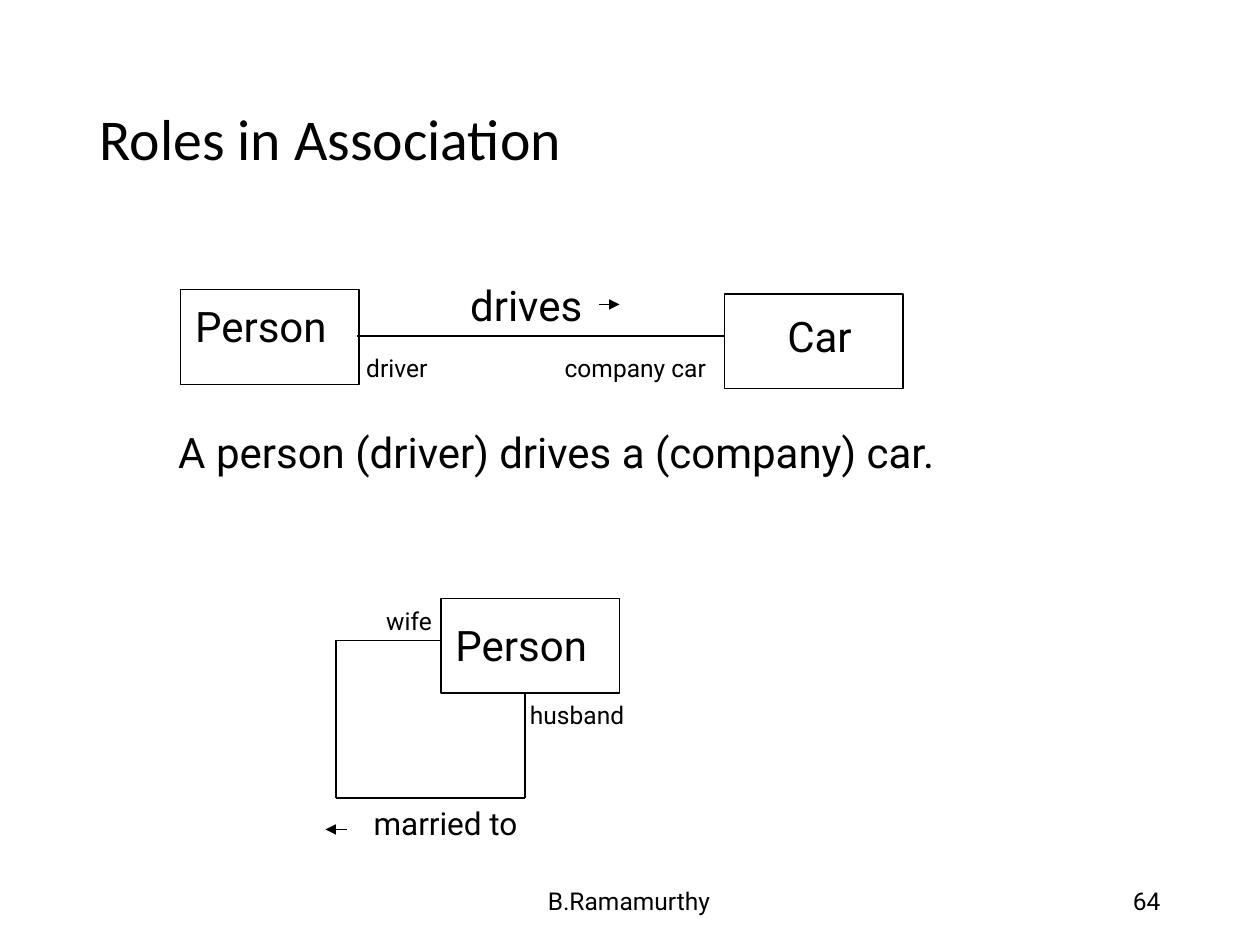
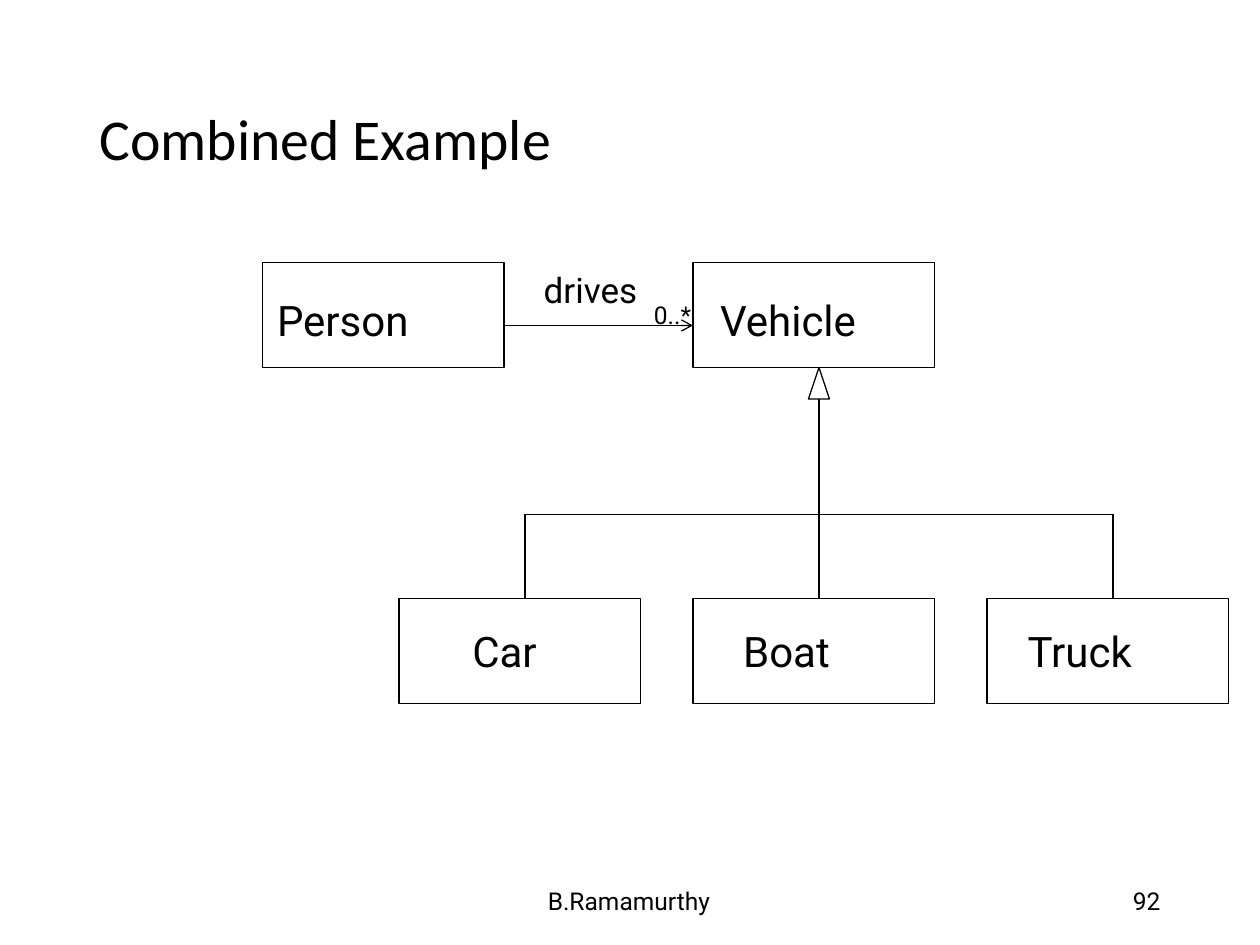
from lxml.etree import SubElement
from pptx import Presentation
from pptx.dml.color import RGBColor
from pptx.enum.shapes import MSO_CONNECTOR, MSO_SHAPE
from pptx.enum.text import MSO_ANCHOR, MSO_AUTO_SIZE, PP_ALIGN
from pptx.oxml.ns import qn
from pptx.util import Inches, Pt

BLACK = RGBColor(0, 0, 0)
TITLE_FONT, BODY_FONT = "Calibri", "Roboto"
COLS, ROWS = 120, 90
AUTHOR = "B.Ramamurthy"

SLIDES = [
    {
        "title": "Roles in Association",
        "number": "64",
        "class_size": (17, 9),
        "classes": [(17.2, 27.6), (69, 28), (42, 57)],
        "triangles": [],
        "labels": [
            ("drives", 43.6, 26, 13.7, 24),
            ("Person", 17.4, 28, 15.5, 24),
            ("Car", 73.8, 29, 8.8, 24),
            ("A person (driver) drives a (company) car.", 15.8, 40, 78, 24),
            ("company car", 52.6, 33, 16.6, 14),
            ("driver", 33.7, 33, 8.9, 14),
            ("Person", 42.2, 58.4, 15.5, 24),
            ("husband", 49.3, 66.1, 12, 14),
            ("wife", 35.6, 57.1, 7, 14),
            ("married to", 34.4, 76, 17.3, 18),
        ],
        "paths": [
            ([(34, 32), (69, 32)], None),
            ([(50, 66), (50, 76), (32, 76), (32, 61), (42, 61)], None),
            ([(57, 29), (59, 29)], "triangle"),
            ([(33, 79), (31, 79)], "triangle"),
        ],
    },
    {
        "title": "Combined Example",
        "number": "92",
        "class_size": (23, 10),
        "classes": [(25, 25), (66, 25)] + [(38 + 28 * i, 57) for i in range(3)],
        "triangles": [(77, 35, 2, 3)],
        "labels": [
            ("Person", 25.2, 27.5, 15.5, 24),
            ("Vehicle", 67.4, 27.5, 15.7, 24),
            ("Car", 43.8, 59, 8.8, 24),
            ("Boat", 69.6, 59, 11, 24),
            ("Truck", 96.7, 59, 12.7, 24),
            ("drives", 50.6, 25, 11.9, 20),
            ("0..*", 61.1, 28, 6.2, 14),
        ],
        "paths": [
            ([(48, 31), (66, 31)], "arrow"),
            ([(78, 57), (78, 38)], None),
            ([(50, 57), (50, 49), (78, 49), (106, 49), (106, 57)], None),
        ],
    },
]

prs = Presentation()
prs.slide_width, prs.slide_height = Inches(10), Inches(7.5)


def grid(x, y):
    return round(prs.slide_width * x / COLS), round(prs.slide_height * y / ROWS)


def write(sp, text, size, font=BODY_FONT, align=PP_ALIGN.LEFT,
          anchor=MSO_ANCHOR.TOP, wrap=True, spacing=1.0):
    tf = sp.text_frame
    tf.auto_size = MSO_AUTO_SIZE.NONE if wrap else MSO_AUTO_SIZE.SHAPE_TO_FIT_TEXT
    tf.word_wrap = wrap
    tf.vertical_anchor = anchor
    p = tf.paragraphs[0]
    p.alignment, p.line_spacing = align, spacing
    r = p.add_run()
    r.text = text
    r.font.name, r.font.size = font, Pt(size)
    r.font.color.rgb = BLACK


def label(s, text, x, y, width, size, height=None, **fmt):
    height = height or size * 0.2 + 1.2
    write(s.shapes.add_textbox(*grid(x, y), *grid(width, height)), text, size, **fmt)


def outline(s, kind, x, y, width, height):
    sp = s.shapes.add_shape(kind, *grid(x, y), *grid(width, height))
    sp.shadow.inherit = False
    sp.fill.background()
    sp.line.color.rgb, sp.line.width = BLACK, Pt(0.75)


def path_lines(s, points, head):
    for start, end in zip(points, points[1:]):
        c = s.shapes.add_connector(MSO_CONNECTOR.STRAIGHT, *grid(*start), *grid(*end))
        c.line.color.rgb, c.line.width = BLACK, Pt(0.75)
        if head:
            SubElement(c.line._get_or_add_ln(), qn("a:tailEnd"), type=head)
        SubElement(c._element.spPr, qn("a:effectLst"))


def frame(s, title, number):
    sp = s.shapes.title
    sp.left, sp.top = Inches(0.69), Inches(0.4)
    sp.width, sp.height = Inches(8.63), Inches(1.45)
    write(sp, title, 33, font=TITLE_FONT, anchor=MSO_ANCHOR.MIDDLE, spacing=0.9)
    for text, x, width, align in ((AUTHOR, 39.7, 40.4, PP_ALIGN.CENTER),
                                  (number, 84.7, 27, PP_ALIGN.RIGHT)):
        label(s, text, x, 83.4, width, 14, height=4.8, align=align,
              anchor=MSO_ANCHOR.MIDDLE)


for content in SLIDES:
    s = prs.slides.add_slide(prs.slide_layouts[5])
    frame(s, content["title"], content["number"])
    for corner in content["classes"]:
        outline(s, MSO_SHAPE.RECTANGLE, *corner, *content["class_size"])
    for box in content["triangles"]:
        outline(s, MSO_SHAPE.ISOSCELES_TRIANGLE, *box)
    for points, head in content["paths"]:
        path_lines(s, points, head)
    for item in content["labels"]:
        label(s, *item, wrap=False)

prs.save("out.pptx")
